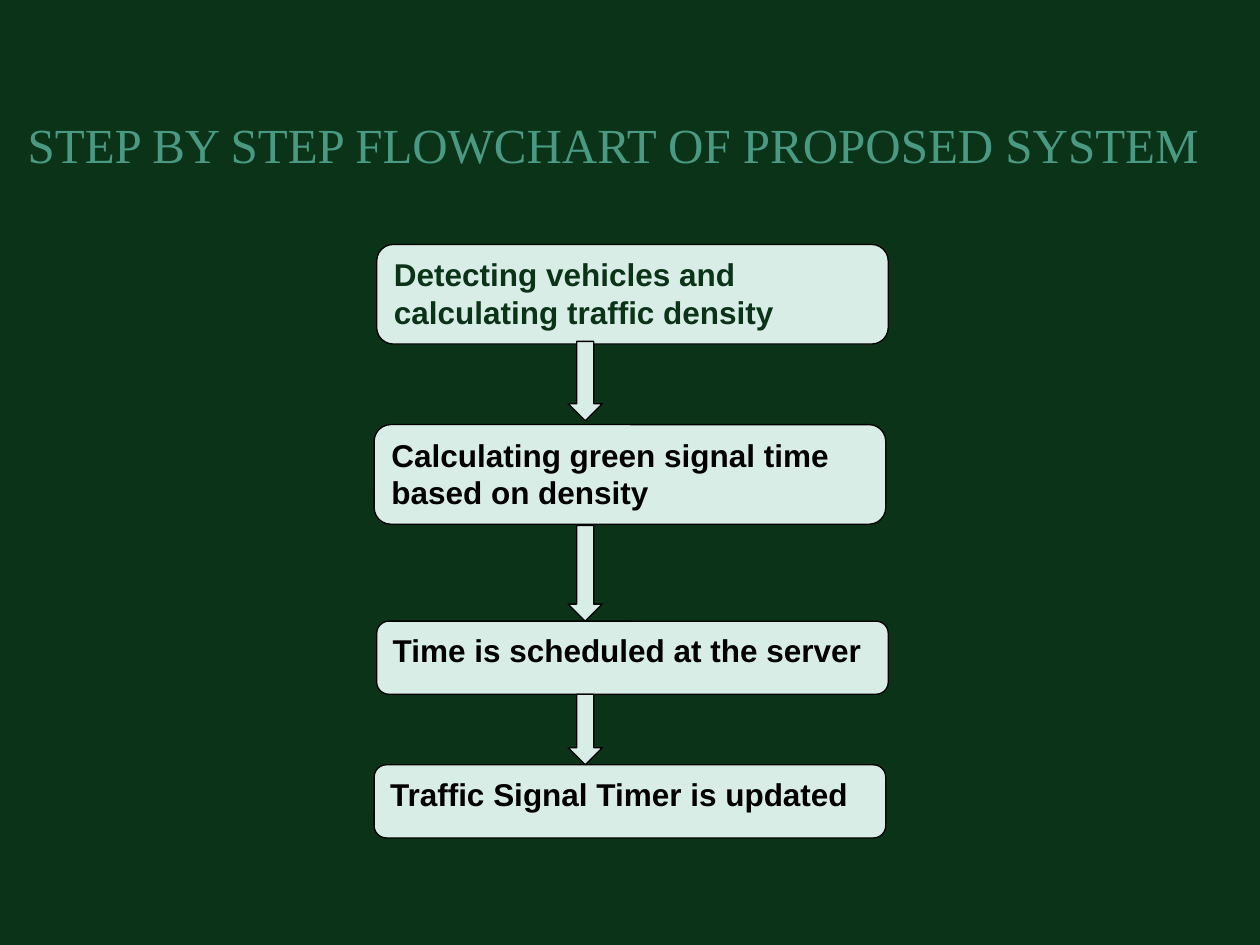
"""Build a slide with a four-step traffic signal flowchart."""
import pptx
import pptx.dml.color
import pptx.enum.shapes
import pptx.enum.text
import pptx.util

Inches = pptx.util.Inches
SHAPE = pptx.enum.shapes.MSO_SHAPE
ANCHOR = pptx.enum.text.MSO_ANCHOR
COLORS = {
    "background": "0B3318",
    "title": "499983",
    "box": "D9EDE7",
    "line": "000000",
    "text": "000000",
}


def rgb(name):
    return pptx.dml.color.RGBColor.from_string(COLORS[name])


def write(tf, text, size=18, font="Arial", color="text", bold=False,
          anchor=ANCHOR.TOP):
    tf.word_wrap = True
    tf.auto_size = pptx.enum.text.MSO_AUTO_SIZE.NONE
    tf.vertical_anchor = anchor
    p = tf.paragraphs[0]
    p.alignment = pptx.enum.text.PP_ALIGN.LEFT
    r = p.add_run()
    r.text = text
    r.font.size = pptx.util.Pt(size)
    r.font.name = font
    r.font.bold = bold
    r.font.color.rgb = rgb(color)


class FlowSlide:
    def __init__(self, prs):
        self.s = prs.slides.add_slide(prs.slide_layouts[5])
        self.s.background.fill.solid()
        self.s.background.fill.fore_color.rgb = rgb("background")

    def title(self, text, left, top, width, height):
        sp = self.s.shapes.title
        sp.left, sp.top = Inches(left), Inches(top)
        sp.width, sp.height = Inches(width), Inches(height)
        sp.text_frame.margin_top = Inches(0.55)
        write(sp.text_frame, text, size=28, font="Times New Roman",
              color="title", anchor=ANCHOR.MIDDLE)

    def shape(self, kind, left, top, width, height):
        sp = self.s.shapes.add_shape(kind, Inches(left), Inches(top),
                                     Inches(width), Inches(height))
        sp.shadow.inherit = False
        sp.fill.solid()
        sp.fill.fore_color.rgb = rgb("box")
        sp.line.color.rgb = rgb("line")
        sp.line.width = pptx.util.Pt(0.75)
        return sp

    def step(self, text, left, top, height, color="text"):
        sp = self.shape(SHAPE.ROUNDED_RECTANGLE, left, top, 4.06, height)
        write(sp.text_frame, text, color=color, bold=True)

    def arrow(self, top, height):
        self.shape(SHAPE.DOWN_ARROW, 4.51, top, 0.27, height)


def main():
    prs = pptx.Presentation()
    prs.slide_width, prs.slide_height = Inches(10), Inches(7.5)
    slide = FlowSlide(prs)
    slide.title("STEP BY STEP FLOWCHART OF PROPOSED SYSTEM",
                0.12, 0.21, 10, 1.37)

    steps = [
        ("Detecting vehicles and calculating traffic density",
         2.99, 1.94, 0.79, "background"),
        ("Calculating green signal time based on density",
         2.97, 3.37, 0.79, "text"),
        ("Time is scheduled at the server", 2.99, 4.93, 0.58, "text"),
        ("Traffic Signal Timer is updated", 2.97, 6.07, 0.58, "text"),
    ]
    for step in steps:
        slide.step(*step)
    for top, height in [(2.71, 0.63), (4.17, 0.76), (5.51, 0.56)]:
        slide.arrow(top, height)

    prs.save("out.pptx")


if __name__ == "__main__":
    main()
